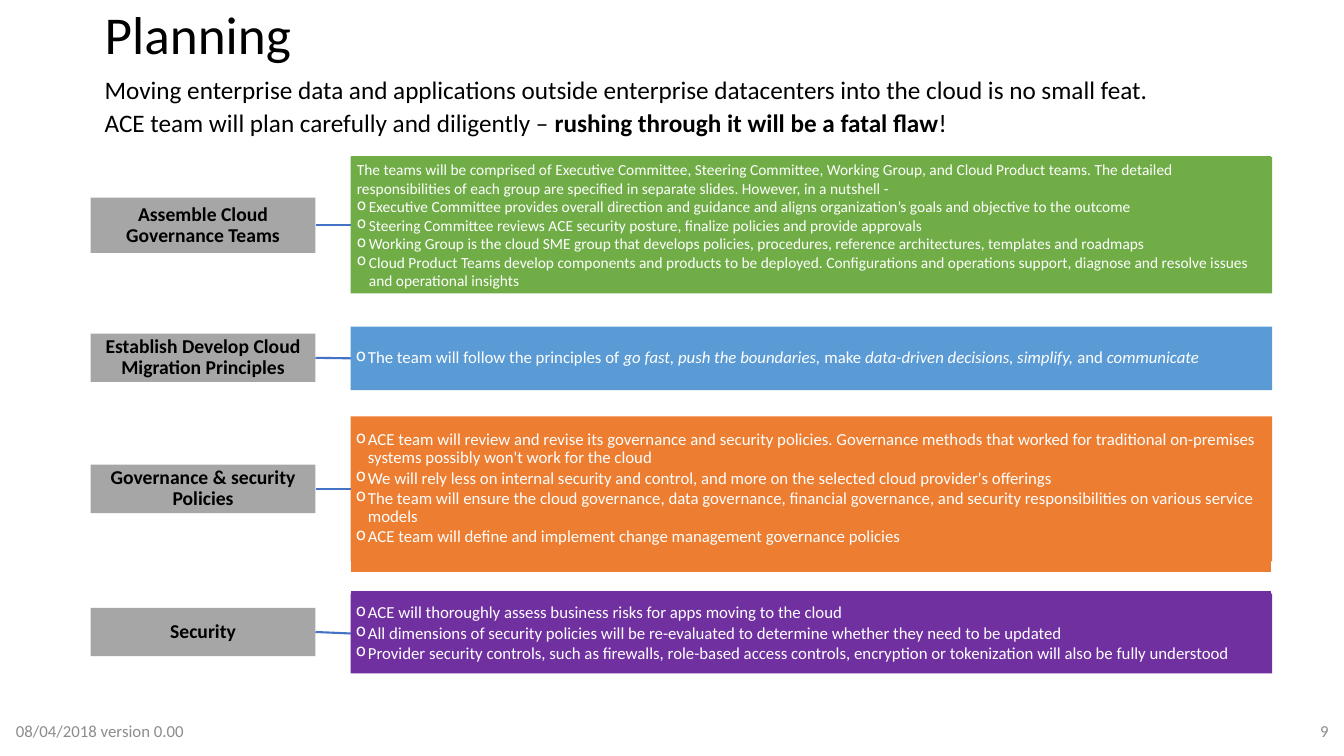
from lxml import etree
from pptx import Presentation
from pptx.dml.color import RGBColor
from pptx.enum.shapes import MSO_CONNECTOR, MSO_SHAPE
from pptx.enum.text import MSO_ANCHOR, PP_ALIGN
from pptx.oxml.ns import qn
from pptx.util import Inches, Pt

RECT = MSO_SHAPE.RECTANGLE
LINE = MSO_CONNECTOR.STRAIGHT
TOP, MID = MSO_ANCHOR.TOP, MSO_ANCHOR.MIDDLE
LEFT, MID_X, RIGHT = PP_ALIGN.LEFT, PP_ALIGN.CENTER, PP_ALIGN.RIGHT

BLACK = RGBColor(0x00, 0x00, 0x00)
WHITE = RGBColor(0xFF, 0xFF, 0xFF)
GREY = RGBColor(0xA6, 0xA6, 0xA6)
DIM = RGBColor(0x8C, 0x8C, 0x8C)
NAVY = RGBColor(0x44, 0x72, 0xC4)
GREEN = RGBColor(0x70, 0xAD, 0x47)
BLUE = RGBColor(0x5B, 0x9B, 0xD5)
ORANGE = RGBColor(0xED, 0x7D, 0x31)
PURPLE = RGBColor(0x70, 0x30, 0xA0)

CELL = Inches(0.1)
COLS, ROWS = 133.33, 75
HEAD_X = 9.4
LABEL_X, LABEL_W = 9, 22.3
BODY_X, BODY_W = 34.8, 91.4
FOOT_Y, FOOT_W, FOOT_H = 70.5, 30, 4

SMALL = {"size": Pt(11), "gap": 1.0, "after": Pt(0), "pad": (0.6, 0.6)}
PLAIN = {"size": Pt(12), "gap": 0.9, "after": Pt(1.5), "pad": (0.5, 0.5)}

STAGES = [
    {"label": "Assemble Cloud Governance Teams", "tall": 5.5, "mid": 22.35,
     "back": (15.4, 8), "body": (15.6, 13.5), "fill": GREEN, "look": SMALL,
     "intro": ["The teams will be comprised of Executive Committee, Steering Committee, Working Group, and Cloud Product teams. The detailed responsibilities of each group are specified in separate slides. However, in a nutshell -"],
     "items": [
         "Executive Committee provides overall direction and guidance and aligns organization’s goals and objective to the outcome",
         "Steering Committee reviews ACE security posture, finalize policies and provide approvals",
         "Working Group is the cloud SME group that develops policies, procedures, reference architectures, templates and roadmaps",
         "Cloud Product Teams develop components and products to be deployed. Configurations and operations support, diagnose and resolve issues and operational insights"]},
    {"label": "Establish Develop Cloud Migration Principles", "tall": 4.8, "mid": 35.5,
     "back": (32.4, 6.1), "body": (32.4, 6.3), "fill": BLUE, "look": PLAIN,
     "intro": [],
     "items": ["The team will follow the principles of *go fast, push the boundaries, *make* data-driven decisions, simplify, *and* communicate*"]},
    {"label": "Governance & security Policies", "tall": 4.8, "mid": 48.5,
     "back": (42.5, 14.3), "body": (41.3, 14.4), "fill": ORANGE, "look": PLAIN,
     "intro": [],
     "items": [
         "ACE team will review and revise its governance and security policies. Governance methods that worked for traditional on-premises systems possibly won't work for the cloud",
         "We will rely less on internal security and control, and more on the selected cloud provider's offerings",
         "The team will ensure the cloud governance, data governance, financial governance, and security responsibilities on various service models",
         "ACE team will define and implement change management governance policies"]},
    {"label": "Security", "tall": 4.8, "mid": 62.7,
     "back": (58.6, 7.8), "body": (58.9, 7.9), "fill": PURPLE, "look": PLAIN,
     "intro": [],
     "items": [
         "ACE will thoroughly assess business risks for apps moving to the cloud",
         "All dimensions of security policies will be re-evaluated to determine whether they need to be updated",
         "Provider security controls, such as firewalls, role-based access controls, encryption or tokenization will also be fully understood"]},
]


def cells(*counts):
    return [round(CELL * count) for count in counts]


def style(target, values):
    for name, value in values.items():
        setattr(target, name, value)


class Board:
    def __init__(self, slide, face):
        self.slide = slide
        self.face = face

    def frame(self, shape, pad, anchor):
        side, edge = cells(*pad)
        style(shape.text_frame, {
            "word_wrap": True, "vertical_anchor": anchor,
            "margin_left": side, "margin_right": side,
            "margin_top": edge, "margin_bottom": edge})
        return shape.text_frame

    def para(self, frame, text, font, form, mark="italic", first=False):
        para = frame.paragraphs[0] if first else frame.add_paragraph()
        style(para, form)
        for turn, part in enumerate(text.split("*")):
            if part:
                run = para.add_run()
                run.text = part
                style(run.font, {"name": self.face, "size": font["size"], "bold": font.get("bold", False)})
                run.font.color.rgb = font["color"]
                if turn % 2:
                    setattr(run.font, mark, True)
        return para

    def bullet(self, para):
        props = para._p.get_or_add_pPr()
        indent = round(CELL * 1.2)
        props.set("marL", str(indent))
        props.set("indent", str(-indent))
        etree.SubElement(props, qn("a:buChar")).set("char", "o")

    def text(self, area, words, size, color=BLACK, align=LEFT, anchor=TOP, gap=1.0):
        box = self.slide.shapes.add_textbox(*cells(*area))
        frame = self.frame(box, (1, 0.5), anchor)
        self.para(frame, words, {"size": Pt(size), "color": color},
                  {"alignment": align, "line_spacing": gap}, "bold", True)

    def block(self, area, fill, edge=None):
        shape = self.slide.shapes.add_shape(RECT, *cells(*area))
        shape.shadow.inherit = False
        shape.fill.solid()
        shape.fill.fore_color.rgb = fill
        if edge is None:
            shape.line.fill.background()
        else:
            shape.line.color.rgb = edge
            shape.line.width = Pt(1)
        return shape

    def label(self, area, words):
        frame = self.frame(self.block(area, GREY), (1, 0.4), MID)
        self.para(frame, words, {"size": Pt(14), "color": BLACK, "bold": True},
                  {"alignment": MID_X, "line_spacing": 0.9}, first=True)

    def body(self, area, stage):
        look = stage["look"]
        frame = self.frame(self.block(area, stage["fill"]), look["pad"], MID)
        font = {"size": look["size"], "color": WHITE}
        form = {"alignment": LEFT, "line_spacing": look["gap"], "space_after": look["after"]}
        lead = len(stage["intro"])
        for spot, words in enumerate(stage["intro"] + stage["items"]):
            para = self.para(frame, words, font, form, first=spot == 0)
            if spot >= lead:
                self.bullet(para)

    def wire(self, start, end):
        line = self.slide.shapes.add_connector(LINE, *cells(*start, *end))
        line.line.color.rgb = NAVY
        line.line.width = Pt(1.5)
        etree.SubElement(line._element.spPr, qn("a:effectLst"))

    def stage(self, stage):
        mid, tall = stage["mid"], stage["tall"]
        top, high = stage["body"]
        self.label((LABEL_X, mid - tall / 2, LABEL_W, tall), stage["label"])
        back, depth = stage["back"]
        self.block((BODY_X, back, BODY_W, depth), stage["fill"], WHITE)
        self.body((BODY_X, top, BODY_W, high), stage)
        self.wire((LABEL_X + LABEL_W, mid), (BODY_X, top + high / 2))


def main():
    deck = Presentation()
    deck.slide_width, deck.slide_height = cells(COLS, ROWS)
    board = Board(deck.slides.add_slide(deck.slide_layouts[6]), "Calibri")
    board.text((HEAD_X, 0.4, 114.5, 7.4), "Planning", 38, gap=0.9)
    board.text((HEAD_X, 6.7, 109.7, 7.5),
               "Moving enterprise data and applications outside enterprise datacenters into the cloud is no small feat. ACE team will plan carefully and diligently – *rushing through it will be a fatal flaw*!",
               18, gap=1.07)
    for stage in STAGES:
        board.stage(stage)
    board.text((0.6, FOOT_Y, FOOT_W, FOOT_H), "08/04/2018 version 0.00", 12, DIM, anchor=MID)
    board.text((102.8, FOOT_Y, FOOT_W, FOOT_H), "9", 12, DIM, RIGHT, MID)
    deck.save("out.pptx")


if __name__ == "__main__":
    main()
